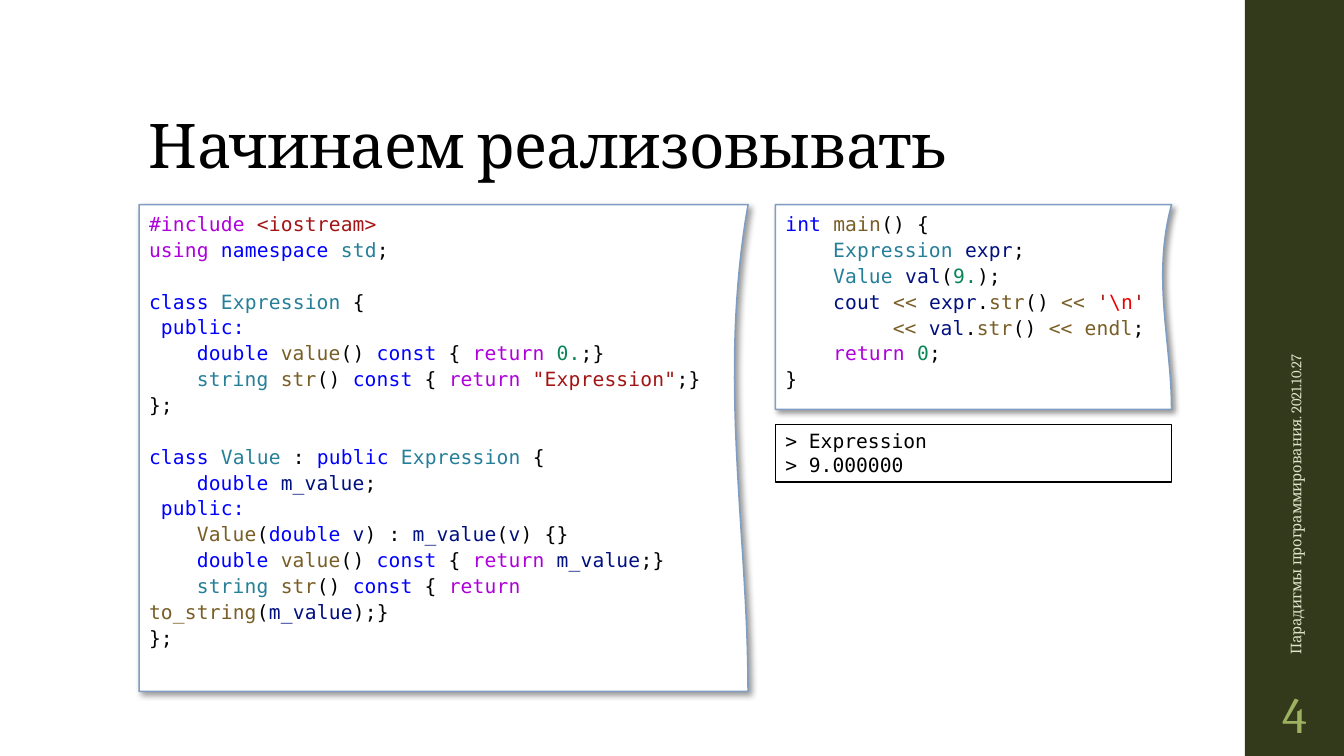
from lxml import etree
from pptx import Presentation
from pptx.dml.color import RGBColor
from pptx.enum.shapes import MSO_SHAPE
from pptx.enum.text import MSO_ANCHOR, PP_ALIGN
from pptx.oxml.ns import qn
from pptx.util import Inches, Pt

WIDTH, HEIGHT = Inches(13.33), Inches(7.5)
SERIF, MONO = "Cambria", "DejaVu Sans Mono"
COLORS = {
    "paper": "FFFFFF", "band": "333A1C", "footer": "DFE5CA",
    "number": "9EB160", "frame": "809EC2", "ink": "000000",
    # Code token kinds
    "p": "000000", "k": "0000FF", "c": "AF00DB", "t": "267F99", "f": "795E26",
    "v": "001080", "n": "098658", "s": "A31515", "e": "EE0000",
}
CHARACTER = Pt(8.53)  # advance of one code character
CODE_LINE = Pt(18.4)  # height of one code line

# Grid in percent of the slide's width and height
LEFT, LEFT_WIDTH = 10.35, 45.31
RIGHT, RIGHT_WIDTH = 57.69, 29.48
CODE_TOP = 27.07
BAND, BAND_WIDTH = 92.63, 7.37

# Code lines: (indent in characters, blank lines before, "kind:text" tokens)
CLASSES = [
    (0, 0, "c:#include |s:<iostream>"),
    (0, 0, "c:using |k:namespace |t:std|p:;"),
    (0, 1, "k:class |t:Expression|p: {"),
    (1, 0, "k:public:"),
    (4, 0, "k:double |f:value|p:() |k:const|p: { |c:return |n:0.|p:;}"),
    (4, 0, 't:string |f:str|p:() |k:const|p: { |c:return |s:"Expression"|p:;}'),
    (0, 0, "p:};"),
    (0, 1, "k:class |t:Value|p: : |k:public |t:Expression|p: {"),
    (4, 0, "k:double |v:m_value|p:;"),
    (1, 0, "k:public:"),
    (4, 0, "f:Value|p:(|k:double |v:v|p:) : |v:m_value|p:(|v:v|p:) {}"),
    (4, 0, "k:double |f:value|p:() |k:const|p: { |c:return |v:m_value|p:;}"),
    (4, 0, "t:string |f:str|p:() |k:const|p: { |c:return "
           "|f:to_string|p:(|v:m_value|p:);}"),
    (0, 0, "p:};"),
]
MAIN = [
    (0, 0, "k:int |f:main|p:() {"),
    (4, 0, "t:Expression |v:expr|p:;"),
    (4, 0, "t:Value |v:val|p:(|n:9.|p:);"),
    (4, 0, "v:cout |f:<< |v:expr|p:.|f:str|p:() |f:<< |s:'|e:\\n|s:'"),
    (9, 0, "f:<< |v:val|p:.|f:str|p:() |f:<< endl|p:;"),
    (4, 0, "c:return |n:0|p:;"),
    (0, 0, "p:}"),
]


def color(name):
    return RGBColor.from_string(COLORS[name])


def place(left, top, width, height):
    """Turn percentages of the slide into lengths."""
    return (int(WIDTH * left / 100), int(HEIGHT * top / 100),
            int(WIDTH * width / 100), int(HEIGHT * height / 100))


def write(paragraph, text, font=SERIF, size=14, fill="ink", spacing=0):
    run = paragraph.add_run()
    run.text = text
    run.font.name = font
    run.font.size = Pt(size)
    run.font.color.rgb = color(fill)
    if spacing:
        run.font._element.set("spc", str(int(spacing * 100)))


def paint(shape, fill, line=None):
    shape.shadow.inherit = False
    shape.fill.solid()
    shape.fill.fore_color.rgb = color(fill)
    if line:
        shape.line.color.rgb = color(line)
        shape.line.width = Pt(1.1)
    else:
        shape.line.fill.background()


def add_rectangle(slide, area, fill, line=None):
    shape = slide.shapes.add_shape(MSO_SHAPE.RECTANGLE, *place(*area))
    paint(shape, fill, line)
    return shape


def add_label(slide, area, text, anchor, align=PP_ALIGN.LEFT, line_spacing=1.0,
              rotation=0, **text_format):
    box = slide.shapes.add_textbox(*place(*area))
    box.rotation = rotation
    frame = box.text_frame
    frame.word_wrap = True
    frame.vertical_anchor = anchor
    paragraph = frame.paragraphs[0]
    paragraph.alignment = align
    paragraph.line_spacing = line_spacing
    write(paragraph, text, **text_format)
    return box


def add_paragraphs(shape, count):
    """Prepare left-aligned paragraphs at the top of a shape."""
    frame = shape.text_frame
    frame.word_wrap = True
    frame.vertical_anchor = MSO_ANCHOR.TOP
    paragraphs = [frame.paragraphs[0]]
    paragraphs += [frame.add_paragraph() for _ in range(count - 1)]
    for paragraph in paragraphs:
        paragraph.alignment = PP_ALIGN.LEFT
    return paragraphs


def add_shadow(shape):
    effects = shape._element.spPr.find(qn("a:effectLst"))
    shadow = etree.SubElement(effects, qn("a:outerShdw"), blurRad=str(Pt(4)),
                              dist=str(Pt(3)), dir="2700000", rotWithShape="0")
    tint = etree.SubElement(shadow, qn("a:srgbClr"), val=COLORS["ink"])
    etree.SubElement(tint, qn("a:alpha"), val="40000")


def add_sheet(slide, area, steps=32):
    """A sheet whose right edge is a cubic curve."""
    left, top, width, height = place(*area)
    edge = []
    for step in range(1, steps + 1):
        t = step / steps
        first, second, last = 3 * t * (1 - t) ** 2, 3 * t * t * (1 - t), t ** 3
        start = (1 - t) ** 3
        x = start + 0.95 * first + second + last
        y = 0.36 * first + 0.67 * second + last
        edge.append((left + int(width * x), top + int(height * y)))
    builder = slide.shapes.build_freeform(left, top)
    builder.add_line_segments(
        [(left + width, top)] + edge + [(left, top + height)], close=True)
    sheet = builder.convert_to_shape()
    paint(sheet, "paper", "frame")
    add_shadow(sheet)
    return sheet


def add_code(slide, area, lines):
    paragraphs = add_paragraphs(add_sheet(slide, area), len(lines))
    for paragraph, (indent, blanks, tokens) in zip(paragraphs, lines):
        paragraph.line_spacing = 1.1
        paragraph.space_before = blanks * CODE_LINE
        properties = paragraph._p.get_or_add_pPr()
        properties.set("marL", "0")
        properties.set("indent", str(indent * CHARACTER))
        for token in tokens.split("|"):
            kind, _, text = token.partition(":")
            write(paragraph, text, font=MONO, fill=kind, spacing=0.1)


def add_output(slide, area, lines):
    box = add_rectangle(slide, area, "paper", "ink")
    for paragraph, text in zip(add_paragraphs(box, len(lines)), lines):
        write(paragraph, text, font=MONO)


def main():
    presentation = Presentation()
    presentation.slide_width, presentation.slide_height = WIDTH, HEIGHT
    slide = presentation.slides.add_slide(presentation.slide_layouts[6])

    # Side band with footer and slide number
    add_rectangle(slide, (BAND, 0, BAND_WIDTH, 100), "band")
    add_label(slide, (81.69, 59.07, 29.41, 5.33),
              "Парадигмы программирования. 2021.10.27", MSO_ANCHOR.MIDDLE,
              rotation=270, size=10.5, fill="footer")
    number = add_label(slide, (BAND, 90, BAND_WIDTH, 8.67), "4",
                       MSO_ANCHOR.MIDDLE, PP_ALIGN.CENTER,
                       size=36, fill="number")
    number.text_frame.margin_left = number.text_frame.margin_right = Inches(0.05)

    # Code sheets and program output
    add_code(slide, (LEFT, CODE_TOP, LEFT_WIDTH, 64.4), CLASSES)
    add_output(slide, (RIGHT, 56.13, RIGHT_WIDTH, 7.6),
               ["> Expression", "> 9.000000"])
    add_code(slide, (RIGHT, CODE_TOP, RIGHT_WIDTH, 27.07), MAIN)

    # Title
    add_label(slide, (LEFT, 5.33, 79.52, 19.33), "Начинаем реализовывать",
              MSO_ANCHOR.BOTTOM, line_spacing=0.9, size=44, spacing=-0.5)

    presentation.save("out.pptx")


if __name__ == "__main__":
    main()
